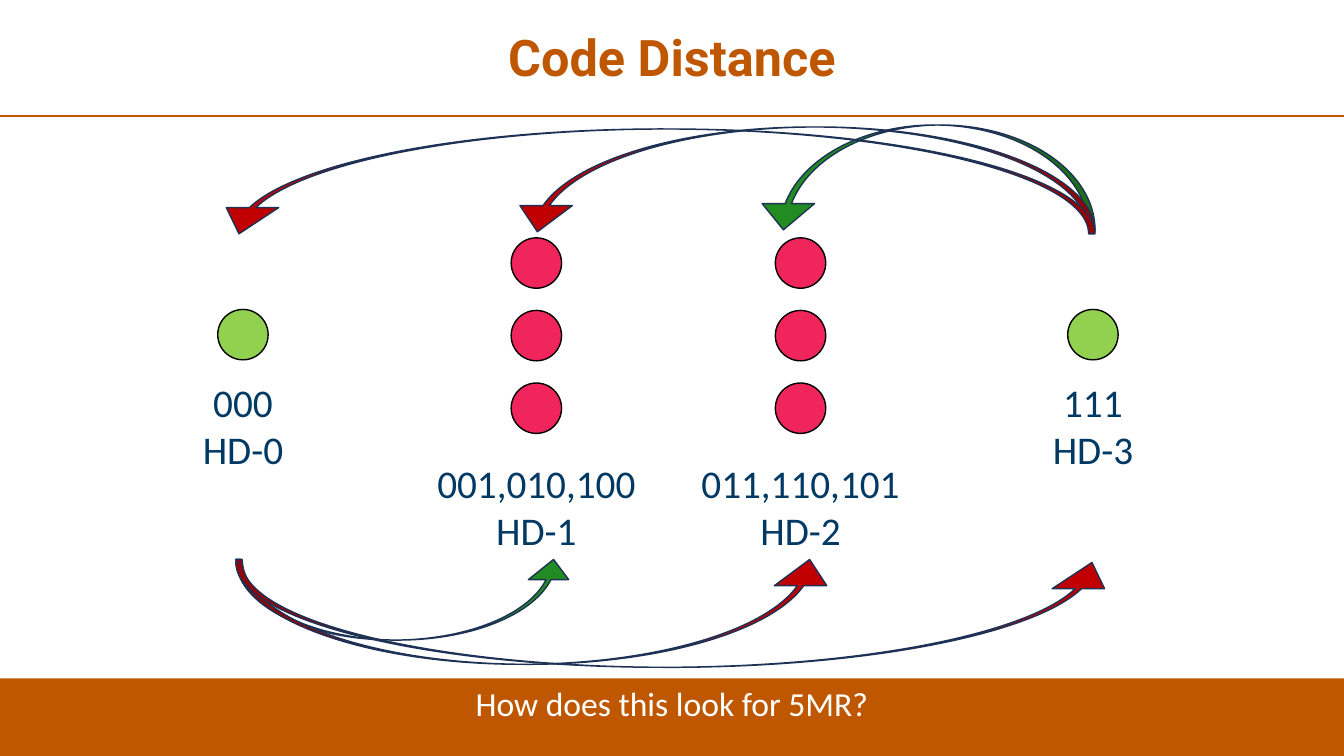
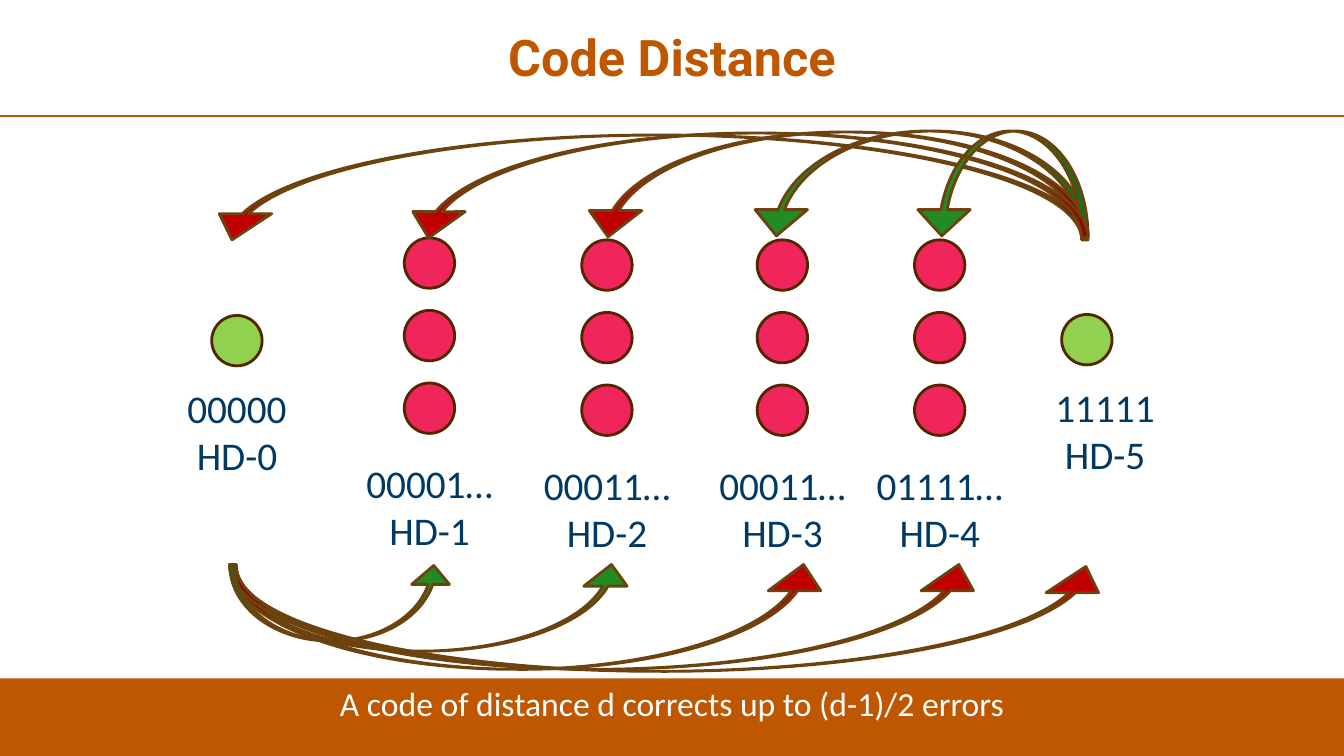
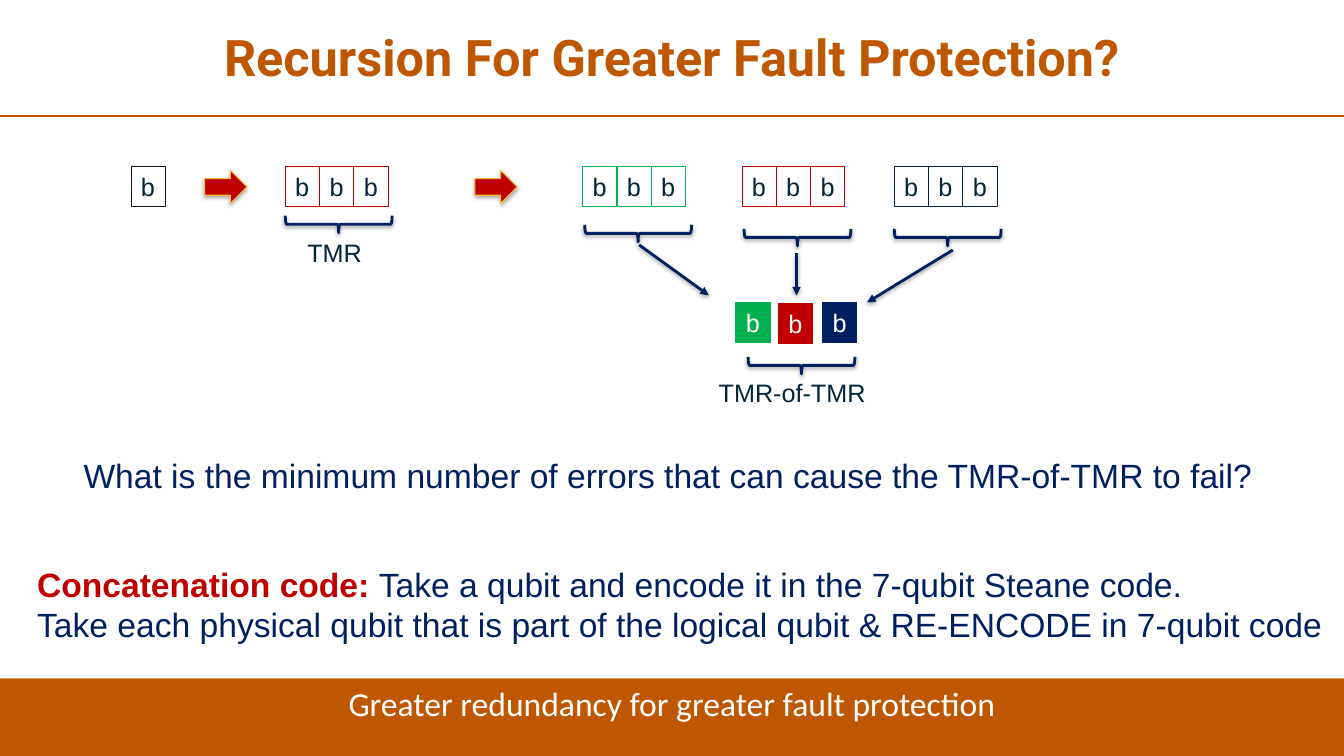
"""Build three slides on code distance and recursive redundancy."""
import dataclasses

import lxml.etree
import pptx
import pptx.dml.color
import pptx.enum.shapes
import pptx.enum.text
import pptx.oxml.ns
import pptx.util

SHAPE = pptx.enum.shapes.MSO_SHAPE
ALIGN = pptx.enum.text.PP_ALIGN
ANCHOR = pptx.enum.text.MSO_ANCHOR
FIT = pptx.enum.text.MSO_AUTO_SIZE
qn = pptx.oxml.ns.qn

WIDTH, HEIGHT = 1333, 750
DOT, DOT_PITCH = 50, 72
CELL_W, CELL_H = 34, 40
BRACE_W, BRACE_H = 106, 17


@dataclasses.dataclass(frozen=True)
class Theme:
    title: str = "BE5700"
    band: str = "BF5700"
    white: str = "FFFFFF"
    label: str = "003963"
    ink: str = "022539"
    black: str = "151714"
    valid: str = "92D050"
    invalid: str = "EF255B"
    right: str = "228B22"
    wrong: str = "C00000"
    gold: str = "F6BE3F"
    green: str = "00B050"
    navy: str = "002060"
    title_font: str = "Roboto"
    label_font: str = "Calibri"
    body_font: str = "Arial"
    title_size: int = 36
    label_size: int = 28
    body_size: int = 24
    cell_size: int = 18


@dataclasses.dataclass(frozen=True)
class Outline:
    dot: str
    arrow: str
    width: int


T = Theme()


def px(n):
    """Turn px, at 100 to the inch, into EMU."""
    return pptx.util.Emu(round(n * 9144))


def rgb(color):
    """Turn a hex string into a colour."""
    return pptx.dml.color.RGBColor.from_string(color)


def write(tf, lines, size, font, color, align=ALIGN.LEFT, lead=""):
    """Write one paragraph a line, with an optional bold red lead-in."""
    for i, line in enumerate(lines):
        p = tf.add_paragraph() if i else tf.paragraphs[0]
        p.alignment = align
        if lead and not i:
            r = p.add_run()
            r.text = lead
            r.font.bold = True
            r.font.color.rgb = rgb(T.wrong)
        p.add_run().text = line
        p.font.size = pptx.util.Pt(size)
        p.font.name = font
        p.font.color.rgb = rgb(color)


def add_shadow(shape, opacity, distance):
    """Drop a soft black shadow straight down."""
    props = shape._element.spPr
    effects = props.find(qn("a:effectLst"))
    outer = lxml.etree.SubElement(
        effects, qn("a:outerShdw"), blurRad=str(pptx.util.Pt(3.1)),
        dist=str(pptx.util.Pt(distance)), dir="5400000", rotWithShape="0")
    black = lxml.etree.SubElement(outer, qn("a:srgbClr"), val="000000")
    lxml.etree.SubElement(black, qn("a:alpha"), val=str(opacity * 1000))


def add_shape(s, kind, x, y, w, h, fill=None, line=None, width=1):
    """Add a preset shape with a plain fill and line."""
    sp = s.shapes.add_shape(kind, px(x), px(y), px(w), px(h))
    sp.shadow.inherit = False
    if fill:
        sp.fill.solid()
        sp.fill.fore_color.rgb = rgb(fill)
    else:
        sp.fill.background()
    if line:
        sp.line.color.rgb = rgb(line)
        sp.line.width = pptx.util.Pt(width)
    else:
        sp.line.fill.background()
    return sp


def add_turned(s, kind, rotation, x, y, w, h, **style):
    """Add a shape turned by a quarter so that it covers the given box."""
    sp = add_shape(s, kind, x + (w - h) / 2, y + (h - w) / 2, h, w, **style)
    sp.rotation = rotation
    return sp


def add_line(s, x1, y1, x2, y2, color, width):
    """Add a straight line without a theme effect."""
    c = s.shapes.add_connector(
        pptx.enum.shapes.MSO_CONNECTOR.STRAIGHT, px(x1), px(y1), px(x2), px(y2))
    c.line.color.rgb = rgb(color)
    c.line.width = pptx.util.Pt(width)
    lxml.etree.SubElement(c._element.spPr, qn("a:effectLst"))
    return c


def add_text(s, x, y, w, h, lines, size, font, color, align=ALIGN.LEFT,
             wrap=False, lead=""):
    """Add a text box that grows with its text."""
    tf = s.shapes.add_textbox(px(x), px(y), px(w), px(h)).text_frame
    tf.word_wrap = wrap
    tf.auto_size = FIT.SHAPE_TO_FIT_TEXT
    write(tf, lines, size, font, color, align, lead)


def add_slide(prs, title, takeaway):
    """Add a slide with its title, rule and bottom band."""
    s = prs.slides.add_slide(prs.slide_layouts[5])
    sp = s.shapes.title
    sp.left, sp.top, sp.width, sp.height = px(9), px(4), px(1315), px(111)
    tf = sp.text_frame
    tf.auto_size = FIT.NONE
    tf.vertical_anchor = ANCHOR.MIDDLE
    write(tf, [title], T.title_size, T.title_font, T.title, ALIGN.CENTER)
    tf.paragraphs[0].font.bold = True
    tf.paragraphs[0].line_spacing = 0.9
    add_line(s, 0, 115, WIDTH, 115, T.band, 1.5)
    band = add_shape(s, SHAPE.RECTANGLE, 0, 673, WIDTH, HEIGHT - 673, T.band)
    band.text_frame.vertical_anchor = ANCHOR.TOP
    write(band.text_frame, [takeaway], T.body_size, T.label_font, T.white,
          ALIGN.CENTER)
    return s


def add_codewords(s, outline, x, y, count, fill, gap, lines, shift=0):
    """Stack dots centred on x, with a label below them."""
    for i in range(count):
        add_shape(s, SHAPE.OVAL, x - DOT / 2, y + i * DOT_PITCH, DOT, DOT,
                  fill, outline.dot, outline.width)
    bottom = y + (count - 1) * DOT_PITCH + DOT
    w = 237
    add_text(s, x - w / 2 + shift, bottom + gap, w, 104, lines, T.label_size,
             T.label_font, T.label, ALIGN.CENTER, wrap=True)


def add_valid(s, outline, x, y, lines, shift=0):
    """Add a valid codeword."""
    add_codewords(s, outline, x, y, 1, T.valid, 13, lines, shift)


def add_invalid(s, outline, x, y, lines):
    """Add a group of three invalid words."""
    add_codewords(s, outline, x, y, 3, T.invalid, 21, lines)


def add_arc(s, outline, rotation, x, y, span, depth, fill):
    """Add a curved arrow that covers the given box."""
    sp = add_turned(s, SHAPE.CURVED_RIGHT_ARROW, rotation, x, y, span, depth,
                    fill=fill, line=outline.arrow, width=outline.width)
    for i, value in enumerate((0.06, 0.5, 0.25)):
        sp.adjustments[i] = value


def add_arcs(s, outline, start, end, lower, upper):
    """Add arrows rightward from start below and leftward from end above."""
    for span, y, depth, fill in lower:
        add_arc(s, outline, 270, start, y, span, depth, fill)
    for span, y, depth, fill in upper:
        add_arc(s, outline, 90, end - span, y, span, depth, fill)


def add_bit(s, x, y, line, fill=None):
    """Add one boxed bit."""
    sp = add_shape(s, SHAPE.RECTANGLE, x, y, CELL_W, CELL_H, fill, line, 0.75)
    tf = sp.text_frame
    tf.word_wrap = False
    tf.auto_size = FIT.SHAPE_TO_FIT_TEXT
    write(tf, ["b"], T.cell_size, T.body_font, T.white if fill else T.ink)


def add_triple(s, x, line):
    """Add three adjoining bits."""
    for i in range(3):
        add_bit(s, x + i * CELL_W, 165, line)


def add_brace(s, x, y):
    """Add a brace that opens upward."""
    sp = add_turned(s, SHAPE.LEFT_BRACE, 270, x, y, BRACE_W, BRACE_H,
                    line=T.navy, width=2)
    add_shadow(sp, 38, 1.6)


def add_pointer(s, x1, y1, x2, y2):
    """Add a line with an arrowhead at its end."""
    c = add_line(s, x1, y1, x2, y2, T.navy, 2)
    lxml.etree.SubElement(c.line._get_or_add_ln(), qn("a:tailEnd"),
                          type="triangle")
    add_shadow(c, 38, 1.6)


def three_bit_slide(prs):
    """Show distances between three-bit words."""
    s = add_slide(prs, "Code Distance", "How does this look for 5MR?")
    outline = Outline("000000", "1E3256", 1)
    add_valid(s, outline, 241, 307, ["000", "HD-0"])
    add_invalid(s, outline, 532, 236, ["001,010,100", "HD-1"])
    add_invalid(s, outline, 794, 236, ["011,110,101", "HD-2"])
    add_valid(s, outline, 1084, 307, ["111", "HD-3"])
    add_arcs(s, outline, 234, 1086,
             [(335, 555, 80, T.right), (595, 555, 104, T.wrong),
              (875, 558, 104, T.wrong)],
             [(335, 124, 104, T.right), (579, 126, 104, T.wrong),
              (875, 128, 104, T.wrong)])


def five_bit_slide(prs):
    """Show distances between five-bit words."""
    s = add_slide(prs, "Code Distance",
                  "A code of distance d corrects up to (d-1)/2 errors")
    outline = Outline("532600", "6C420E", 2)
    add_valid(s, outline, 235, 313, ["00000", "HD-0"])
    add_valid(s, outline, 1078, 312, ["11111", "HD-5"], shift=18)
    for x, y, word, distance in ((426, 236, "00001…", "HD-1"),
                                 (602, 238, "00011…", "HD-2"),
                                 (776, 238, "00011…", "HD-3"),
                                 (932, 238, "01111…", "HD-4")):
        add_invalid(s, outline, x, y, [word, distance])
    add_arcs(s, outline, 228, 1079,
             [(400, 560, 86, T.right), (595, 560, 104, T.wrong),
              (875, 562, 104, T.wrong), (749, 560, 104, T.wrong),
              (221, 561, 75, T.right)],
             [(335, 130, 104, T.right), (502, 131, 104, T.wrong),
              (875, 134, 104, T.wrong), (171, 130, 104, T.right),
              (680, 132, 104, T.wrong)])


def recursion_slide(prs):
    """Show triple redundancy applied to itself."""
    s = add_slide(prs, "Recursion For Greater Fault Protection?",
                  "Greater redundancy for greater fault protection")
    add_bit(s, 130, 165, T.black)
    for x, color in ((283, T.wrong), (578, T.green), (736, T.wrong),
                     (887, T.navy)):
        add_triple(s, x, color)
    for x in (203, 471):
        sp = add_shape(s, SHAPE.RIGHT_ARROW, x, 169, 42, 33, T.wrong, T.gold,
                       0.75)
        add_shadow(sp, 35, 1.8)
    for x, y, color in ((730, 300, T.green), (772, 301, T.wrong),
                        (816, 300, T.navy)):
        add_bit(s, x, y, color, color)
    for x, y in ((283, 214), (580, 223), (738, 227), (887, 227), (742, 354)):
        add_brace(s, x, y)
    for ends in ((634, 243, 703, 293), (790, 251, 790, 293),
                 (945, 248, 860, 300)):
        add_pointer(s, *ends)
    for x, y, w, label in ((295, 231, 75, "TMR"), (703, 369, 167, "TMR-of-TMR")):
        add_text(s, x, y, w, 40, [label], T.cell_size, T.body_font, T.ink)
    add_text(s, 73, 446, 1191, 50,
             ["What is the minimum number of errors that can cause the "
              "TMR-of-TMR to fail?"], T.body_size, T.body_font, T.navy)
    add_text(s, 27, 554, 1306, 91,
             ["Take a qubit and encode it in the 7-qubit Steane code.",
              "Take each physical qubit that is part of the logical qubit & "
              "RE-ENCODE in 7-qubit code"],
             T.body_size, T.body_font, T.navy, lead="Concatenation code: ")


def main():
    """Build and save the presentation."""
    prs = pptx.Presentation()
    prs.slide_width, prs.slide_height = px(WIDTH), px(HEIGHT)
    three_bit_slide(prs)
    five_bit_slide(prs)
    recursion_slide(prs)
    prs.save("out.pptx")


if __name__ == "__main__":
    main()
